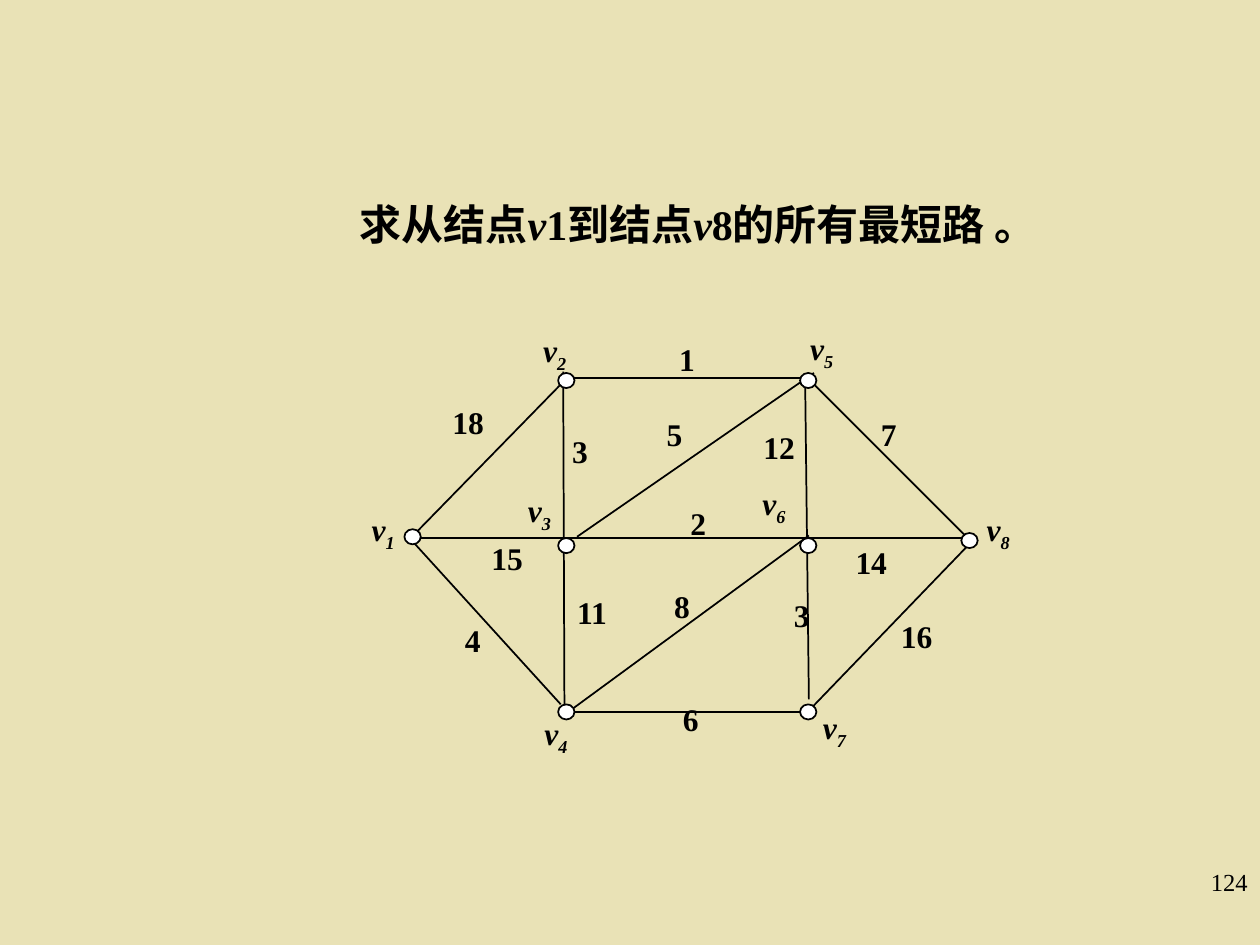
from lxml.etree import SubElement
from pptx import Presentation
from pptx.dml.color import RGBColor
from pptx.enum.shapes import MSO_CONNECTOR, MSO_SHAPE
from pptx.enum.text import MSO_ANCHOR, PP_ALIGN
from pptx.oxml.ns import qn
from pptx.util import Inches, Pt

BLACK = RGBColor(0x00, 0x00, 0x00)
WHITE = RGBColor(0xFF, 0xFF, 0xFF)
SAND = RGBColor(0xE9, 0xE2, 0xB6)
FONT = "Times New Roman"
NODE_SIZE = (0.13, 0.12)

# Positions are inches from the top left corner of the graph.
# name: (node position, label position)
NODES = {
    "1": ((0.26, 1.60), (0.00, 1.45)),
    "2": ((1.48, 0.36), (1.36, 0.03)),
    "3": ((1.48, 1.67), (1.24, 1.30)),
    "4": ((1.48, 2.99), (1.37, 3.07)),
    "5": ((3.40, 0.36), (3.48, 0.01)),
    "6": ((3.40, 1.67), (3.10, 1.24)),
    "7": ((3.40, 2.99), (3.58, 3.02)),
    "8": ((4.68, 1.63), (4.88, 1.45)),
}
# (start, end); the lines v1-v8, v2-v4 and v5-v7 run through a middle node
EDGES = [
    ((4.73, 1.67), (3.49, 0.43)),
    ((0.30, 1.67), (4.73, 1.67)),
    ((3.44, 0.40), (3.47, 2.95)),
    ((1.54, 0.40), (3.46, 0.40)),
    ((1.63, 1.66), (3.51, 0.36)),
    ((1.50, 3.05), (3.42, 3.05)),
    ((1.50, 2.99), (0.30, 1.67)),
    ((3.46, 3.05), (4.79, 1.67)),
    ((1.52, 0.35), (1.53, 3.10)),
    ((1.52, 3.08), (3.47, 1.65)),
    ((0.32, 1.66), (1.57, 0.38)),
]
WEIGHTS = [
    ("18", 0.64, 0.60), ("2", 2.53, 1.40), ("4", 0.74, 2.33),
    ("1", 2.44, 0.10), ("5", 2.34, 0.69), ("8", 2.40, 2.06),
    ("7", 4.04, 0.69), ("16", 4.20, 2.30), ("14", 3.84, 1.71),
    ("15", 0.95, 1.68), ("3", 3.35, 2.13), ("6", 2.47, 2.96),
    ("3", 1.59, 0.83), ("11", 1.63, 2.11), ("12", 3.11, 0.80),
]


def add_text(page, left, top, width, height, parts, size, bold=True,
             align=PP_ALIGN.LEFT, anchor=MSO_ANCHOR.TOP, margins=(0, 0)):
    """Add one line of text made of (text, italic) parts; return its runs."""
    box = page.shapes.add_textbox(
        Inches(left), Inches(top), Inches(width), Inches(height))
    frame = box.text_frame
    frame.word_wrap = True
    frame.vertical_anchor = anchor
    frame.margin_left = frame.margin_right = Inches(margins[0])
    frame.margin_top = frame.margin_bottom = Inches(margins[1])
    para = frame.paragraphs[0]
    para.alignment = align
    for text, italic in parts:
        span = para.add_run()
        span.text = text
        span.font.name = FONT
        span.font.size = Pt(size)
        span.font.bold = bold
        span.font.italic = italic
        span.font.color.rgb = BLACK
    return para.runs


def add_edge(page, start, end):
    edge = page.shapes.add_connector(
        MSO_CONNECTOR.STRAIGHT, *(Inches(value) for value in start + end))
    edge.line.color.rgb = BLACK
    edge.line.width = Pt(1)
    SubElement(edge._element.spPr, qn("a:effectLst"))


def add_node(page, left, top):
    node = page.shapes.add_shape(
        MSO_SHAPE.OVAL, Inches(left), Inches(top),
        *(Inches(side) for side in NODE_SIZE))
    node.shadow.inherit = False
    node.fill.solid()
    node.fill.fore_color.rgb = WHITE
    node.line.color.rgb = BLACK
    node.line.width = Pt(1)


def add_graph(page, left, top):
    def place(point):
        return left + point[0], top + point[1]

    for start, end in EDGES:
        add_edge(page, place(start), place(end))
    for name, (position, label) in NODES.items():
        add_node(page, *place(position))
        runs = add_text(page, *place(label), 0.35, 0.32,
                        [("v", True), (name, True)], 18)
        runs[1].font._element.set("baseline", "-25000")
    for weight, x, y in WEIGHTS:
        add_text(page, *place((x, y)), 0.15 * len(weight), 0.3,
                 [(weight, False)], 18)


def add_title(page, left, top, width, height):
    parts = [("求从结点", False), ("v", True), ("1到结点", False),
             ("v", True), ("8的所有最短路 。", False)]
    add_text(page, left, top, width, height, parts, 24,
             align=PP_ALIGN.CENTER, anchor=MSO_ANCHOR.MIDDLE,
             margins=(0.1, 0.05))


def add_page_number(page, left, top, width, height):
    add_text(page, left, top, width, height, [("124", False)], 14,
             bold=False, align=PP_ALIGN.RIGHT, margins=(0.1, 0.05))


def main():
    deck = Presentation()
    deck.slide_width = Inches(10)
    deck.slide_height = Inches(7.5)
    page = deck.slides.add_slide(deck.slide_layouts[6])
    page.background.fill.solid()
    page.background.fill.fore_color.rgb = SAND
    add_page_number(page, 7.92, 6.83, 2.08, 0.5)
    add_title(page, 1.08, 1.07, 8.92, 1.41)
    add_graph(page, 2.95, 2.6)
    deck.save("out.pptx")


if __name__ == "__main__":
    main()
